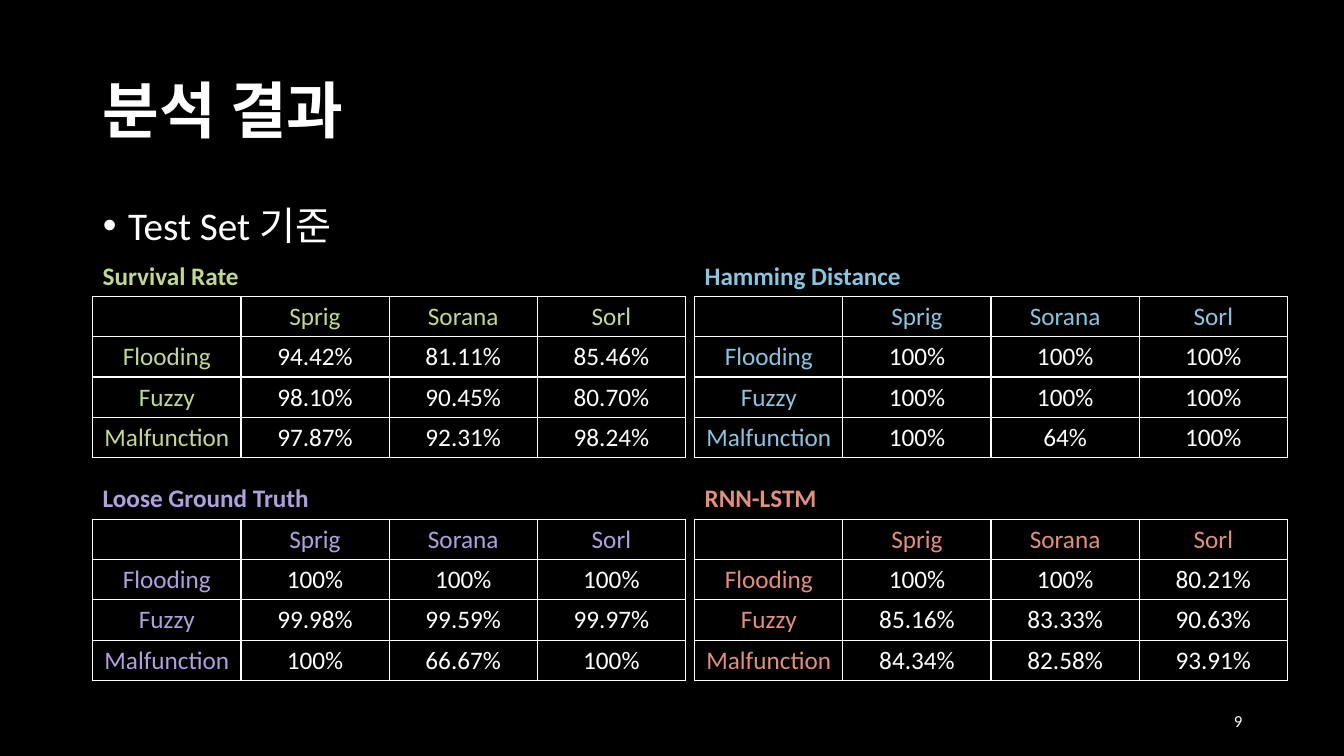
from lxml.etree import SubElement
from pptx import Presentation
from pptx.dml.color import RGBColor
from pptx.enum.text import MSO_ANCHOR, PP_ALIGN
from pptx.oxml import parse_xml
from pptx.oxml.ns import nsdecls, qn
from pptx.util import Inches, Pt

WIDTH, HEIGHT = 13.33, 7.5
LEFT, TOP = 0.92, 2.53
PITCH_X, PITCH_Y = 5.97, 2.21
COL, ROW = 1.47, 0.4
LABEL_GAP = 0.41
WHITE = "FFFFFF"
MODELS = ["Sprig", "Sorana", "Sorl"]
ATTACKS = ["Flooding", "Fuzzy", "Malfunction"]
RESULTS = [
    ("Survival Rate", "C1D892", 0, 0, [
        ["94.42%", "81.11%", "85.46%"],
        ["98.10%", "90.45%", "80.70%"],
        ["97.87%", "92.31%", "98.24%"]]),
    ("Hamming Distance", "8BC4E0", 1, 0, [
        ["100%", "100%", "100%"],
        ["100%", "100%", "100%"],
        ["100%", "64%", "100%"]]),
    ("Loose Ground Truth", "B0A0DD", 0, 1, [
        ["100%", "100%", "100%"],
        ["99.98%", "99.59%", "99.97%"],
        ["100%", "66.67%", "100%"]]),
    ("RNN-LSTM", "E28F7D", 1, 1, [
        ["100%", "100%", "80.21%"],
        ["85.16%", "83.33%", "90.63%"],
        ["84.34%", "82.58%", "93.91%"]]),
]


def color(hex_value):
    return RGBColor.from_string(hex_value)


def apply(target, values):
    for name, value in values.items():
        setattr(target, name, value)


def write(tf, text, size, hex_value=WHITE, bold=False, **paragraph):
    p = tf.paragraphs[0]
    apply(p, paragraph)
    r = p.add_run()
    r.text = text
    apply(r.font, {"name": "Calibri", "size": Pt(size), "bold": bold})
    r.font.color.rgb = color(hex_value)
    return p


def place(sp, left, top, width, height):
    box = zip(("left", "top", "width", "height"), (left, top, width, height))
    apply(sp, {name: Inches(value) for name, value in box})


def add_label(s, text, left, top, width, size, hex_value=WHITE, bold=False,
              align=PP_ALIGN.LEFT, anchor=MSO_ANCHOR.TOP):
    sp = s.shapes.add_textbox(*map(Inches, (left, top, width, ROW)))
    apply(sp.text_frame, {"word_wrap": True, "vertical_anchor": anchor})
    write(sp.text_frame, text, size, hex_value, bold, alignment=align)


def add_borders(cell):
    tc_pr = cell._tc.get_or_add_tcPr()
    for i, side in enumerate("LRTB"):
        tc_pr.insert(i, parse_xml(
            f'<a:ln{side} {nsdecls("a")} w="{Pt(1)}"><a:solidFill>'
            f'<a:srgbClr val="{WHITE}"/></a:solidFill></a:ln{side}>'))


def add_result_table(s, left, top, hex_value, values):
    rows = [["", *MODELS]] + [[a, *v] for a, v in zip(ATTACKS, values)]
    n = len(rows[0])
    box = map(Inches, (left, top, COL * n, ROW * len(rows)))
    table = s.shapes.add_table(len(rows), n, *box).table
    apply(table, {"first_row": False, "horz_banding": False})
    for i, row in enumerate(rows):
        for j, text in enumerate(row):
            cell = table.cell(i, j)
            cell.vertical_anchor = MSO_ANCHOR.MIDDLE
            cell.fill.background()
            add_borders(cell)
            if text:
                write(cell.text_frame, text, 18, WHITE if i and j else hex_value,
                      alignment=PP_ALIGN.CENTER)


def add_bullet(p):
    p_pr = p._p.get_or_add_pPr()
    p_pr.set("marL", str(Inches(0.25)))
    p_pr.set("indent", str(-Inches(0.25)))
    SubElement(p_pr, qn("a:buFont")).set("typeface", "Arial")
    SubElement(p_pr, qn("a:buChar")).set("char", "•")


def main():
    prs = Presentation()
    apply(prs, {"slide_width": Inches(WIDTH), "slide_height": Inches(HEIGHT)})
    s = prs.slides.add_slide(prs.slide_layouts[1])
    s.background.fill.solid()
    s.background.fill.fore_color.rgb = color("000000")

    title, body = s.placeholders
    place(title, LEFT, 0.4, 11.5, 1.45)
    title.text_frame.vertical_anchor = MSO_ANCHOR.MIDDLE
    write(title.text_frame, "분석 결과", 44, bold=True,
          alignment=PP_ALIGN.LEFT, line_spacing=0.9)
    place(body, LEFT, 2, 11.5, 4.76)
    add_bullet(write(body.text_frame, "Test Set 기준", 28,
                     line_spacing=0.9, space_before=Pt(10)))

    for name, hex_value, col, row, values in RESULTS:
        left, top = LEFT + col * PITCH_X, TOP + row * PITCH_Y
        add_label(s, name, left, top, 2.41, 18, hex_value, bold=True)
        add_result_table(s, left, top + LABEL_GAP, hex_value, values)

    add_label(s, "9", 9.42, 6.95, 3, 12, align=PP_ALIGN.RIGHT,
              anchor=MSO_ANCHOR.MIDDLE)
    prs.save("out.pptx")


if __name__ == "__main__":
    main()
